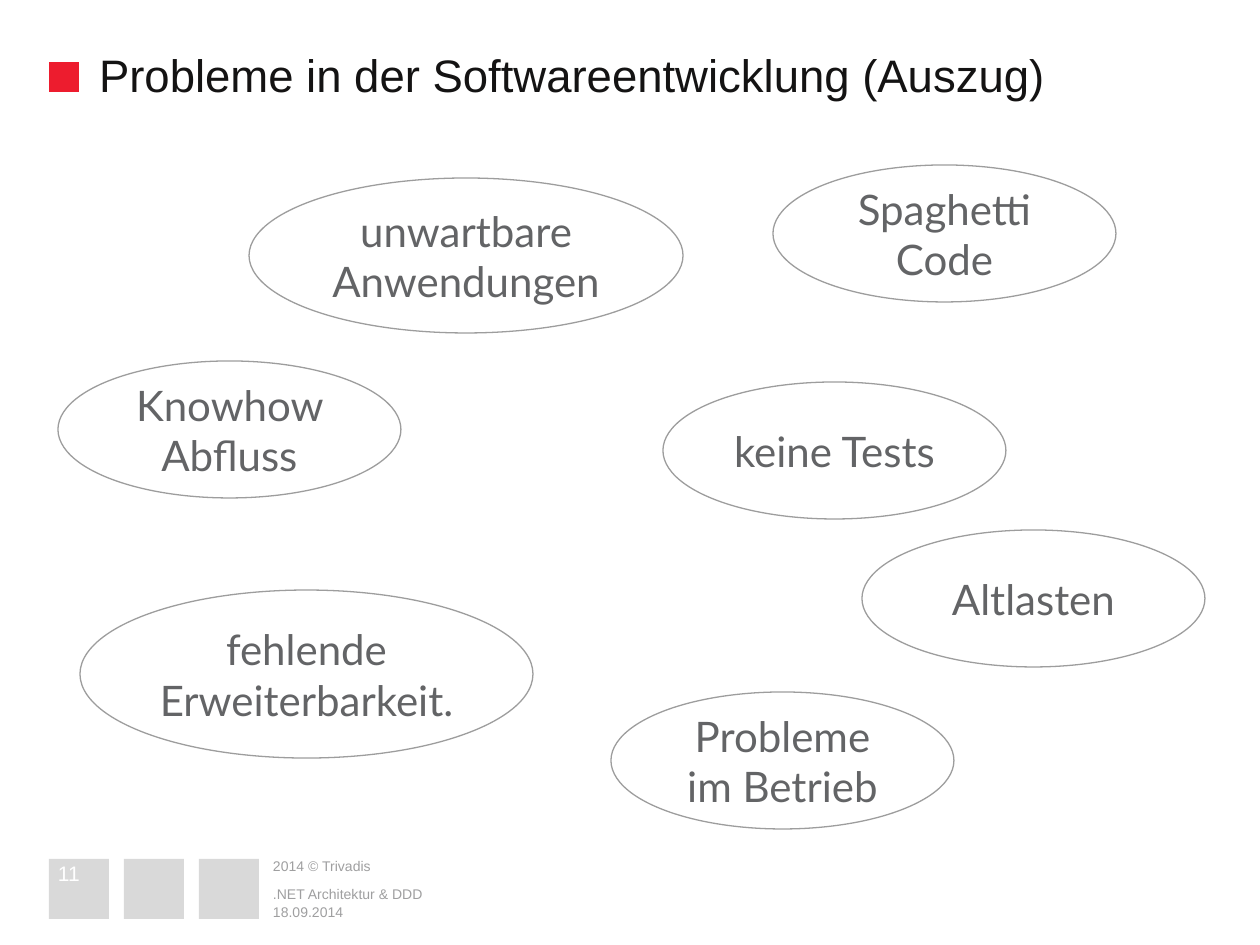
import pptx
import pptx.dml.color
import pptx.enum.shapes
import pptx.enum.text
import pptx.util

PX = 914400 / 126
SHAPE = pptx.enum.shapes.MSO_SHAPE
ANCHOR = pptx.enum.text.MSO_ANCHOR
ALIGN = pptx.enum.text.PP_ALIGN


def px(length):
    return pptx.util.Emu(round(length * PX))


def color(hex_string):
    return pptx.dml.color.RGBColor.from_string(hex_string)


class Deck:
    """Holds the style and the current slide."""
    RED, GREY, WHITE = "ED1C2E", "D9D9D9", "FFFFFF"
    TITLE, FOOTER, BUBBLE, OUTLINE = "141313", "9F9FA0", "636466", "9D9D9D"

    def __init__(self, width, height):
        self.prs = pptx.Presentation()
        self.prs.slide_width, self.prs.slide_height = px(width), px(height)
        self.slide = self.prs.slides.add_slide(self.prs.slide_layouts[5])

    def set_text(self, frame, text, size, hex_color, font="Arial",
                 align=ALIGN.LEFT, anchor=ANCHOR.MIDDLE, inset=0):
        frame.word_wrap = True
        frame.auto_size = pptx.enum.text.MSO_AUTO_SIZE.NONE
        frame.vertical_anchor = anchor
        frame.margin_left = frame.margin_right = px(inset)
        frame.margin_top = frame.margin_bottom = px(inset / 2)
        paragraph = frame.paragraphs[0]
        paragraph.alignment = align
        run = paragraph.add_run()
        run.text = text
        run.font.name = font
        run.font.size = pptx.util.Pt(size)
        run.font.color.rgb = color(hex_color)

    def shape(self, kind, left, top, width, height, fill, line=None):
        shape = self.slide.shapes.add_shape(
            kind, px(left), px(top), px(width), px(height))
        shape.shadow.inherit = False
        shape.fill.solid()
        shape.fill.fore_color.rgb = color(fill)
        if line:
            shape.line.color.rgb = color(line)
            shape.line.width = pptx.util.Pt(0.75)
        else:
            shape.line.fill.background()
        return shape

    def square(self, left, top, side, fill):
        self.shape(SHAPE.RECTANGLE, left, top, side, side, fill)

    def title(self, text, left, top, width, height):
        heading = self.slide.shapes.title
        heading.left, heading.top = px(left), px(top)
        heading.width, heading.height = px(width), px(height)
        self.set_text(heading.text_frame, text, 26, self.TITLE,
                      anchor=ANCHOR.TOP)

    def label(self, text, left, top, width, height, size=8,
              hex_color=FOOTER, anchor=ANCHOR.BOTTOM):
        box = self.slide.shapes.add_textbox(
            px(left), px(top), px(width), px(height))
        self.set_text(box.text_frame, text, size, hex_color, anchor=anchor)

    def bubble(self, text, left, top, width=343, height=137):
        ellipse = self.shape(SHAPE.OVAL, left, top, width, height,
                             self.WHITE, self.OUTLINE)
        self.set_text(ellipse.text_frame, text, 24, self.BUBBLE, "Lato",
                      ALIGN.CENTER, inset=12.6)


def main():
    deck = Deck(1260, 945)

    # Heading with its red marker
    deck.square(49, 62, 30, deck.RED)
    deck.title("Probleme in der Softwareentwicklung (Auszug)",
               99, 47, 1128, 55)

    # Footer: three squares, page number and details
    for column in range(3):
        deck.square(49 + 75 * column, 859, 60, deck.GREY)
    deck.label("2014 © Trivadis", 273, 856, 170, 19, anchor=ANCHOR.MIDDLE)
    deck.label(".NET Architektur & DDD", 273, 879, 675, 23)
    deck.label("18.09.2014", 273, 897, 675, 23)
    deck.label("11", 58, 862, 60, 22, 12, deck.WHITE, ANCHOR.MIDDLE)

    # Problem bubbles
    problems = [
        ("Spaghetti Code", 773, 165),
        ("Knowhow Abfluss", 58, 361),
        ("Altlasten", 862, 530),
        ("unwartbare Anwendungen", 249, 178, 434, 155),
        ("fehlende Erweiterbarkeit.", 80, 590, 453, 168),
        ("keine Tests", 663, 382),
        ("Probleme im Betrieb", 611, 692),
    ]
    for problem in problems:
        deck.bubble(*problem)

    deck.prs.save("out.pptx")


if __name__ == "__main__":
    main()
